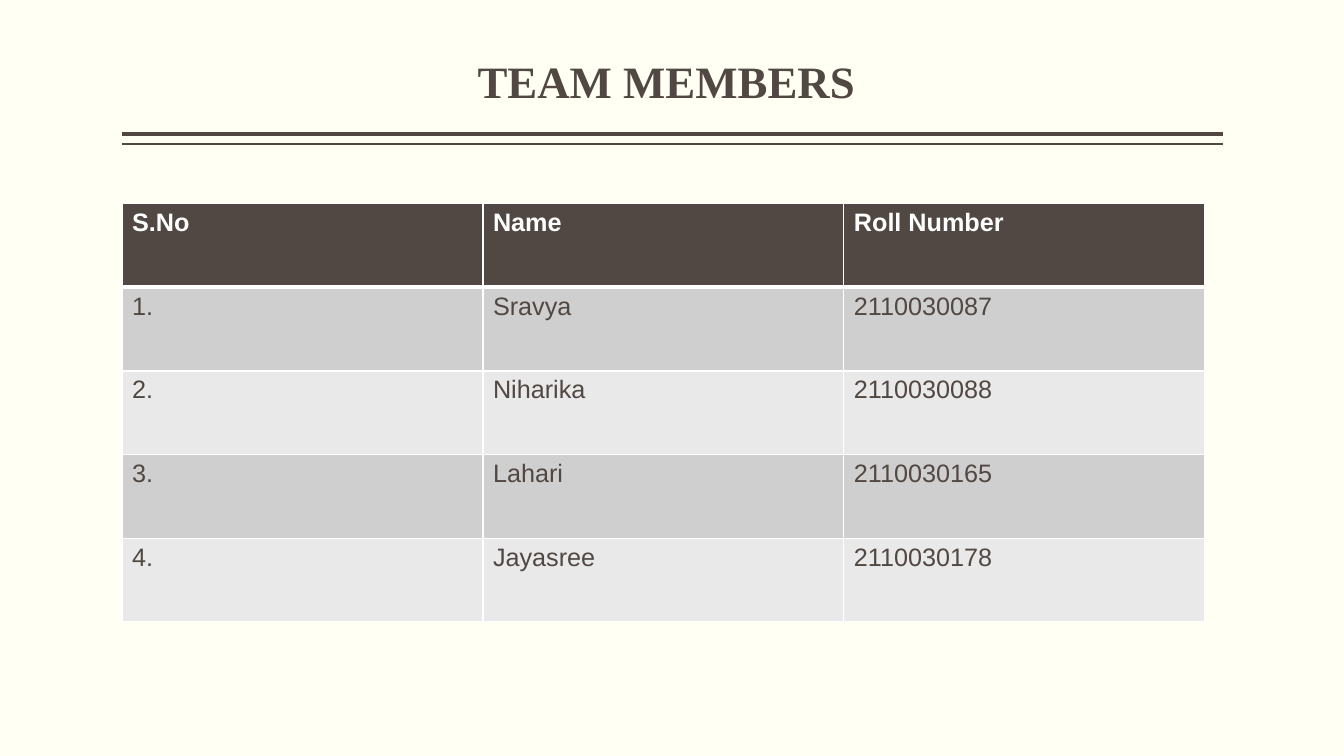
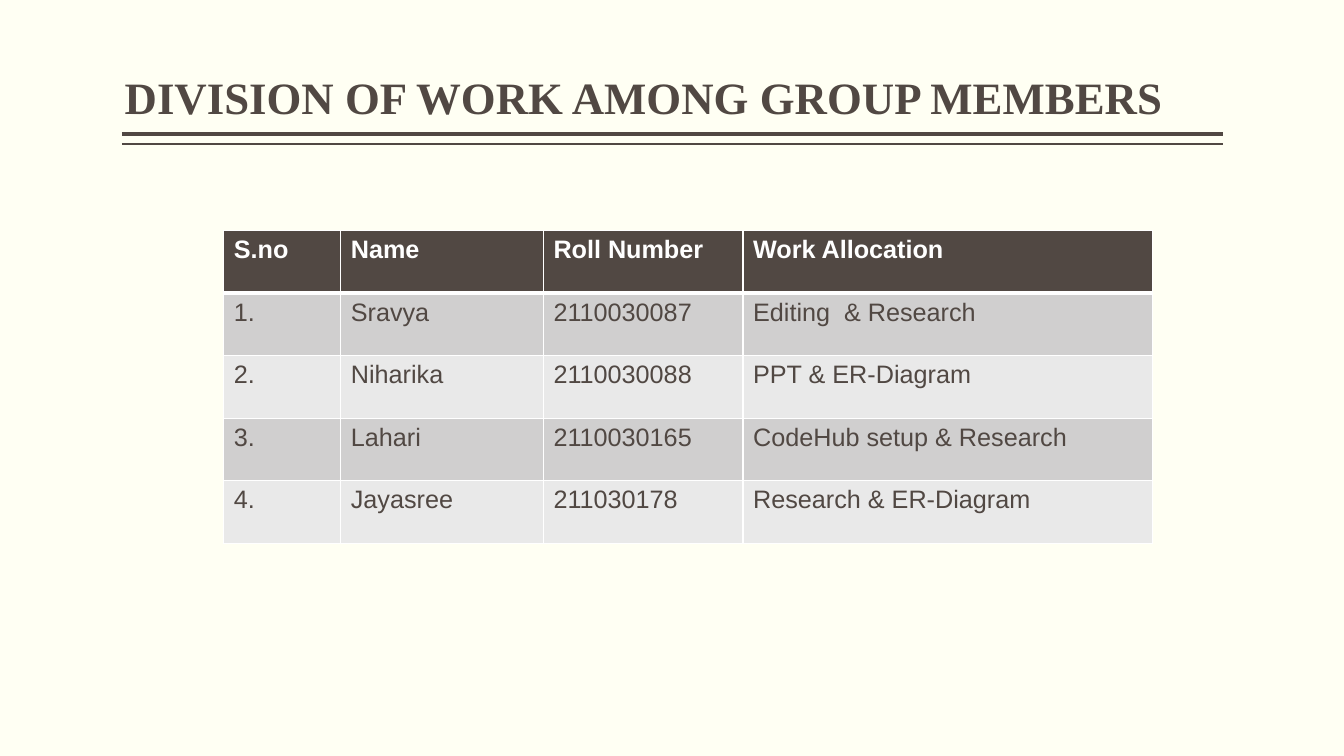
from dataclasses import dataclass

from lxml import etree
from pptx import Presentation
from pptx import util as u
from pptx.dml.color import RGBColor
from pptx.enum import shapes, text
from pptx.oxml import ns

# Shared look
PAPER = "FFFFF3"
BROWN = "514843"
WHITE = "FFFFFF"
ROW_FILLS = ("D0CFCF", "E9E9E9")
TITLE_FONT, TITLE_SIZE = "Times New Roman", 32
TABLE_FONT, TABLE_SIZE = "Arial", 18
RULE_LEFT, RULE_RIGHT = 1.21, 12.13


@dataclass(frozen=True)
class Rule:
    top: float
    weight: float


@dataclass(frozen=True)
class Title:
    words: str
    left: float
    width: float
    height: float
    top: float = 0.08


@dataclass(frozen=True)
class Grid:
    left: float
    top: float
    columns: tuple[float, ...]
    row_height: float
    rows: tuple[tuple[str, ...], ...]


RULES = (Rule(1.33, 3), Rule(1.43, 1))

PAGES = (
    (
        Title("TEAM MEMBERS", 1.21, 10.8, 1.04),
        Grid(1.21, 2.02, (3.58,) * 3, 0.83, (
            ("S.No", "Name", "Roll Number"),
            ("1.", "Sravya", "2110030087"),
            ("2.", "Niharika", "2110030088"),
            ("3.", "Lahari", "2110030165"),
            ("4.", "Jayasree", "2110030178"),
        )),
    ),
    (
        Title("DIVISION OF WORK AMONG GROUP MEMBERS", 0.64, 11.49, 1.2),
        Grid(2.22, 2.29, (1.16, 2.01, 1.98, 4.06), 0.62, (
            ("S.no", "Name", "Roll Number", "Work Allocation"),
            ("1.", "Sravya", "2110030087", "Editing  & Research"),
            ("2.", "Niharika", "2110030088", "PPT & ER-Diagram"),
            ("3.", "Lahari", "2110030165", "CodeHub setup & Research"),
            ("4.", "Jayasree", "211030178", "Research & ER-Diagram"),
        )),
    ),
)


def colour(value: str) -> RGBColor:
    return RGBColor.from_string(value)


def style_text(para, font: str, size: float, ink: str, bold: bool) -> None:
    for span in para.runs:
        span.font.name = font
        span.font.size = u.Pt(size)
        span.font.bold = bold
        span.font.color.rgb = colour(ink)


def draw_rule(page, rule: Rule) -> None:
    line = page.shapes.add_connector(
        shapes.MSO_CONNECTOR.STRAIGHT,
        u.Inches(RULE_LEFT), u.Inches(rule.top),
        u.Inches(RULE_RIGHT), u.Inches(rule.top),
    )
    line.line.color.rgb = colour(BROWN)
    line.line.width = u.Pt(rule.weight)
    etree.SubElement(line._element.spPr, ns.qn("a:effectLst"))


def draw_title(page, title: Title) -> None:
    box = page.shapes.add_textbox(
        u.Inches(title.left), u.Inches(title.top),
        u.Inches(title.width), u.Inches(title.height),
    )
    frame = box.text_frame
    frame.word_wrap = True
    frame.vertical_anchor = text.MSO_ANCHOR.BOTTOM
    frame.margin_left = frame.margin_right = 0
    frame.text = title.words
    para = frame.paragraphs[0]
    para.alignment = text.PP_ALIGN.CENTER
    para.line_spacing = 0.9
    style_text(para, TITLE_FONT, TITLE_SIZE, BROWN, True)


def set_borders(cell, top: float, bottom: float) -> None:
    """Draw white cell edges; they come before the fill in the XML."""
    properties = cell._tc.get_or_add_tcPr()
    edges = (("lnL", 1), ("lnR", 1), ("lnT", top), ("lnB", bottom))
    for place, (edge, weight) in enumerate(edges):
        line = etree.Element(ns.qn(f"a:{edge}"), w=str(u.Pt(weight)))
        fill = etree.SubElement(line, ns.qn("a:solidFill"))
        etree.SubElement(fill, ns.qn("a:srgbClr"), val=WHITE)
        properties.insert(place, line)


def draw_table(page, grid: Grid) -> None:
    table = page.shapes.add_table(
        len(grid.rows), len(grid.columns),
        u.Inches(grid.left), u.Inches(grid.top),
        u.Inches(sum(grid.columns)),
        u.Inches(grid.row_height * len(grid.rows)),
    ).table
    for column, width in zip(table.columns, grid.columns):
        column.width = u.Inches(width)
    for index, words in enumerate(grid.rows):
        table.rows[index].height = u.Inches(grid.row_height)
        header = index == 0
        fill = BROWN if header else ROW_FILLS[(index - 1) % 2]
        for cell, value in zip(table.rows[index].cells, words):
            cell.text_frame.text = value
            style_text(cell.text_frame.paragraphs[0], TABLE_FONT, TABLE_SIZE,
                       WHITE if header else BROWN, header)
            cell.fill.solid()
            cell.fill.fore_color.rgb = colour(fill)
            # A heavier edge parts the header from the body
            set_borders(cell, top=3 if index == 1 else 1,
                        bottom=3 if header else 1)


def main() -> None:
    deck = Presentation()
    deck.slide_width = u.Inches(13.33)
    deck.slide_height = u.Inches(7.5)
    background = deck.slide_master.background.fill
    background.solid()
    background.fore_color.rgb = colour(PAPER)

    for title, grid in PAGES:
        page = deck.slides.add_slide(deck.slide_layouts[6])
        for rule in RULES:
            draw_rule(page, rule)
        draw_title(page, title)
        draw_table(page, grid)

    deck.save("out.pptx")


if __name__ == "__main__":
    main()
